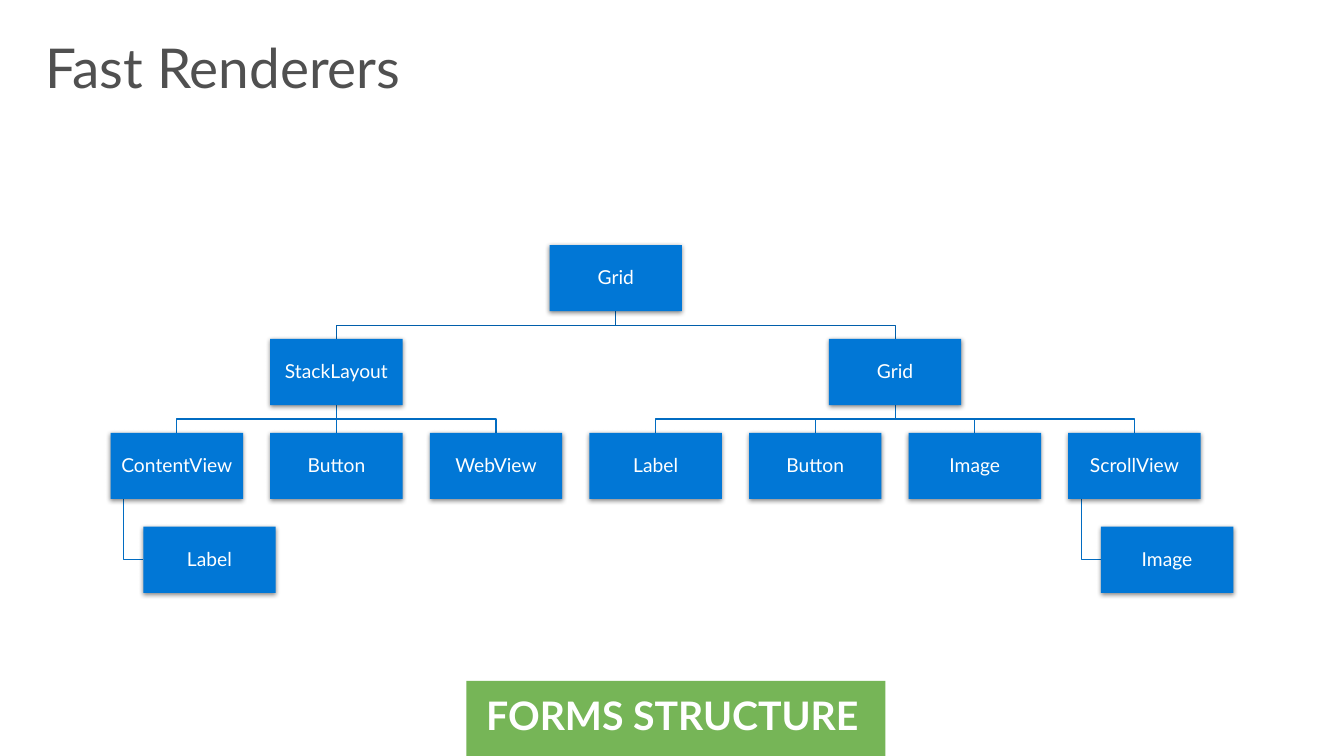
from lxml.etree import SubElement
from pptx import Presentation
from pptx.dml.color import RGBColor
from pptx.enum.shapes import MSO_CONNECTOR, MSO_SHAPE
from pptx.enum.text import MSO_ANCHOR, MSO_AUTO_SIZE, PP_ALIGN
from pptx.oxml.ns import qn
from pptx.util import Inches, Pt

BOX_WIDTH, BOX_HEIGHT = 1.34, 0.67
TREE_LEFT, TREE_TOP = 1.12, 2.48
COLUMN_STEP, ROW_STEP = 1.615, 0.95
HANGING_INDENT = 0.33

# name, column, row, index of parent
NODES = [
    ("Grid", 2.75, 0, None),
    ("StackLayout", 1, 1, 0),
    ("ContentView", 0, 2, 1),
    ("Label", 0, 3, 2),
    ("Button", 1, 2, 1),
    ("WebView", 2, 2, 1),
    ("Grid", 4.5, 1, 0),
    ("Label", 3, 2, 6),
    ("Button", 4, 2, 6),
    ("Image", 5, 2, 6),
    ("ScrollView", 6, 2, 6),
    ("Image", 6, 3, 10),
]


def color(hex_code):
    return RGBColor.from_string(hex_code)


def write(shape, text, size, hex_code, inset_x, inset_y):
    """Put one line of text in the shape and return its paragraph."""
    frame = shape.text_frame
    frame.word_wrap = True
    frame.margin_left = frame.margin_right = Inches(inset_x)
    frame.margin_top = frame.margin_bottom = Inches(inset_y)
    paragraph = frame.paragraphs[0]
    paragraph.text = text
    paragraph.alignment = PP_ALIGN.LEFT
    paragraph.line_spacing = 0.9
    paragraph.font.name = "Lato"
    paragraph.font.size = Pt(size)
    paragraph.font.color.rgb = color(hex_code)
    return paragraph


presentation = Presentation()
presentation.slide_width = Inches(13.6)
presentation.slide_height = Inches(7.65)
slide = presentation.slides.add_slide(presentation.slide_layouts[6])
shapes = slide.shapes

title = shapes.add_textbox(Inches(0.3), Inches(0.32), Inches(13), Inches(7))
write(title, "Fast Renderers", 40, "505050", 0.16, 0.1)

# Leaves on the last row hang to the right of their parent
corners = [
    (TREE_LEFT + column * COLUMN_STEP + (HANGING_INDENT if row == 3 else 0),
     TREE_TOP + row * ROW_STEP)
    for name, column, row, parent in NODES
]

# Branches lie behind the boxes
for (name, column, row, parent), (left, top) in zip(NODES, corners):
    if parent is None:
        continue
    parent_left, parent_top = corners[parent]
    start_y = parent_top + BOX_HEIGHT
    start_x = parent_left + BOX_WIDTH / 2
    end_x = left + BOX_WIDTH / 2
    middle_y = (start_y + top) / 2
    if row == 3:
        start_x = parent_left + BOX_WIDTH / 10
        middle_y = top + BOX_HEIGHT / 2
        bends = [(start_x, middle_y), (left, middle_y)]
    else:
        bends = [(start_x, middle_y), (end_x, middle_y), (end_x, top)]
    if row < 3 and column == NODES[parent][1]:
        branch = shapes.add_connector(
            MSO_CONNECTOR.STRAIGHT,
            Inches(start_x), Inches(start_y), Inches(end_x), Inches(top))
        SubElement(branch.line._get_or_add_ln().getparent(), qn("a:effectLst"))
    else:
        builder = shapes.build_freeform(Inches(start_x), Inches(start_y))
        builder.add_line_segments(
            [(Inches(x), Inches(y)) for x, y in bends], close=False)
        branch = builder.convert_to_shape()
        branch.fill.background()
        branch.shadow.inherit = False
    branch.line.color.rgb = color("015FAB" if row == 1 else "016CC2")
    branch.line.width = Pt(0.85)

for (name, column, row, parent), (left, top) in zip(NODES, corners):
    box = shapes.add_shape(
        MSO_SHAPE.RECTANGLE,
        Inches(left), Inches(top), Inches(BOX_WIDTH), Inches(BOX_HEIGHT))
    box.fill.solid()
    box.fill.fore_color.rgb = color("0177D6")
    box.line.fill.background()
    box.shadow.inherit = False
    effects = box._element.spPr.find(qn("a:effectLst"))
    shadow = SubElement(
        effects, qn("a:outerShdw"), blurRad=str(Pt(3.5)), dist=str(Pt(1.1)),
        dir="5400000", algn="ctr", rotWithShape="0")
    shade = SubElement(shadow, qn("a:srgbClr"), val="000000")
    SubElement(shade, qn("a:alpha"), val="45000")
    paragraph = write(box, name, 14, "FFFFFF", 0.01, 0.01)
    paragraph.alignment = PP_ALIGN.CENTER
    paragraph.space_after = Pt(5)
    box.text_frame.vertical_anchor = MSO_ANCHOR.MIDDLE

banner = shapes.add_shape(
    MSO_SHAPE.RECTANGLE, Inches(4.72), Inches(6.89), Inches(4.24), Inches(0.77))
banner.fill.solid()
banner.fill.fore_color.rgb = color("76B557")
banner.line.fill.background()
banner.shadow.inherit = False
paragraph = write(banner, "FORMS STRUCTURE", 28.6, "FFFFFF", 0.2, 0.16)
paragraph.font.bold = True
paragraph.space_after = Pt(6.1)
banner.text_frame.vertical_anchor = MSO_ANCHOR.TOP
banner.text_frame.word_wrap = False
banner.text_frame.auto_size = MSO_AUTO_SIZE.SHAPE_TO_FIT_TEXT

presentation.save("out.pptx")
